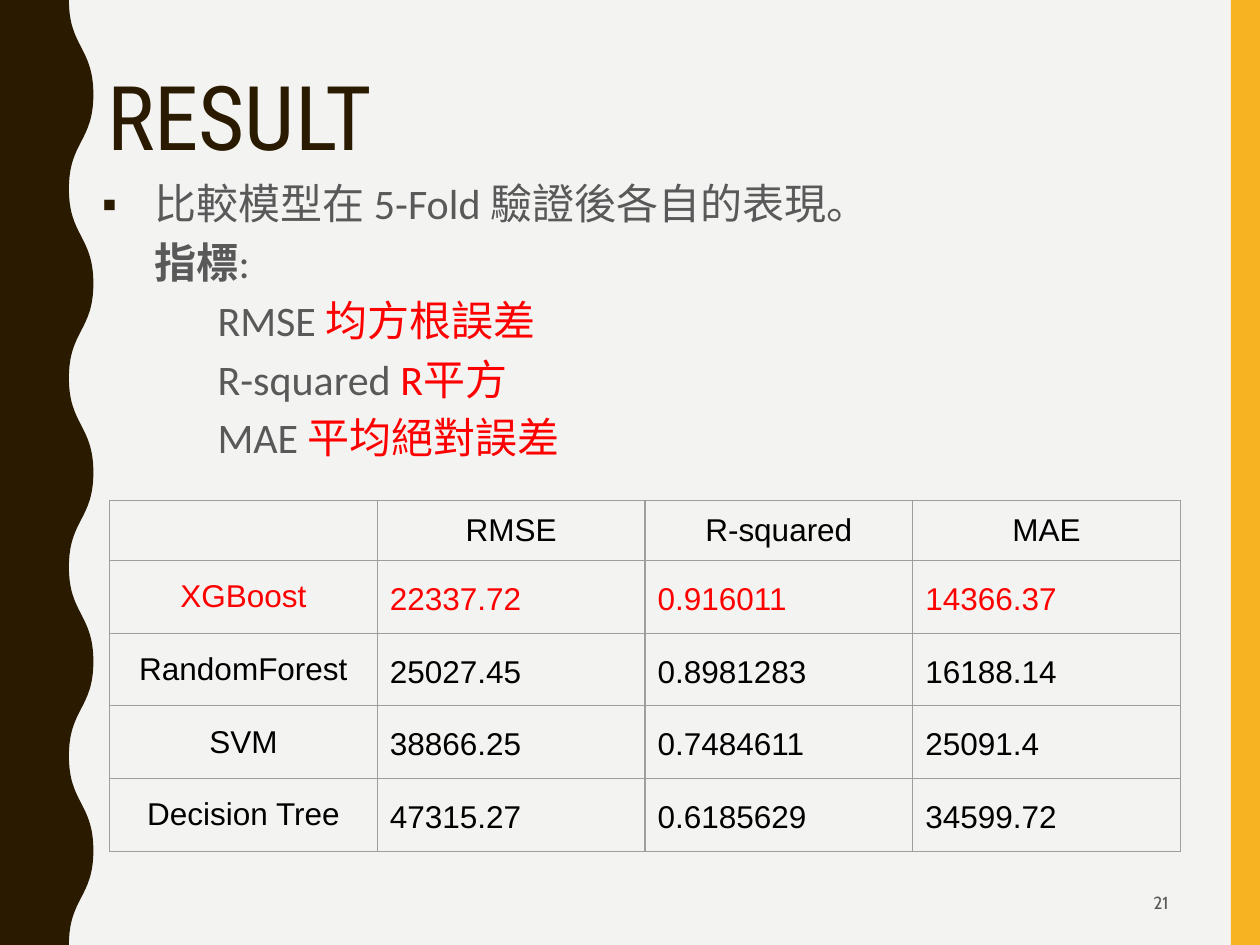
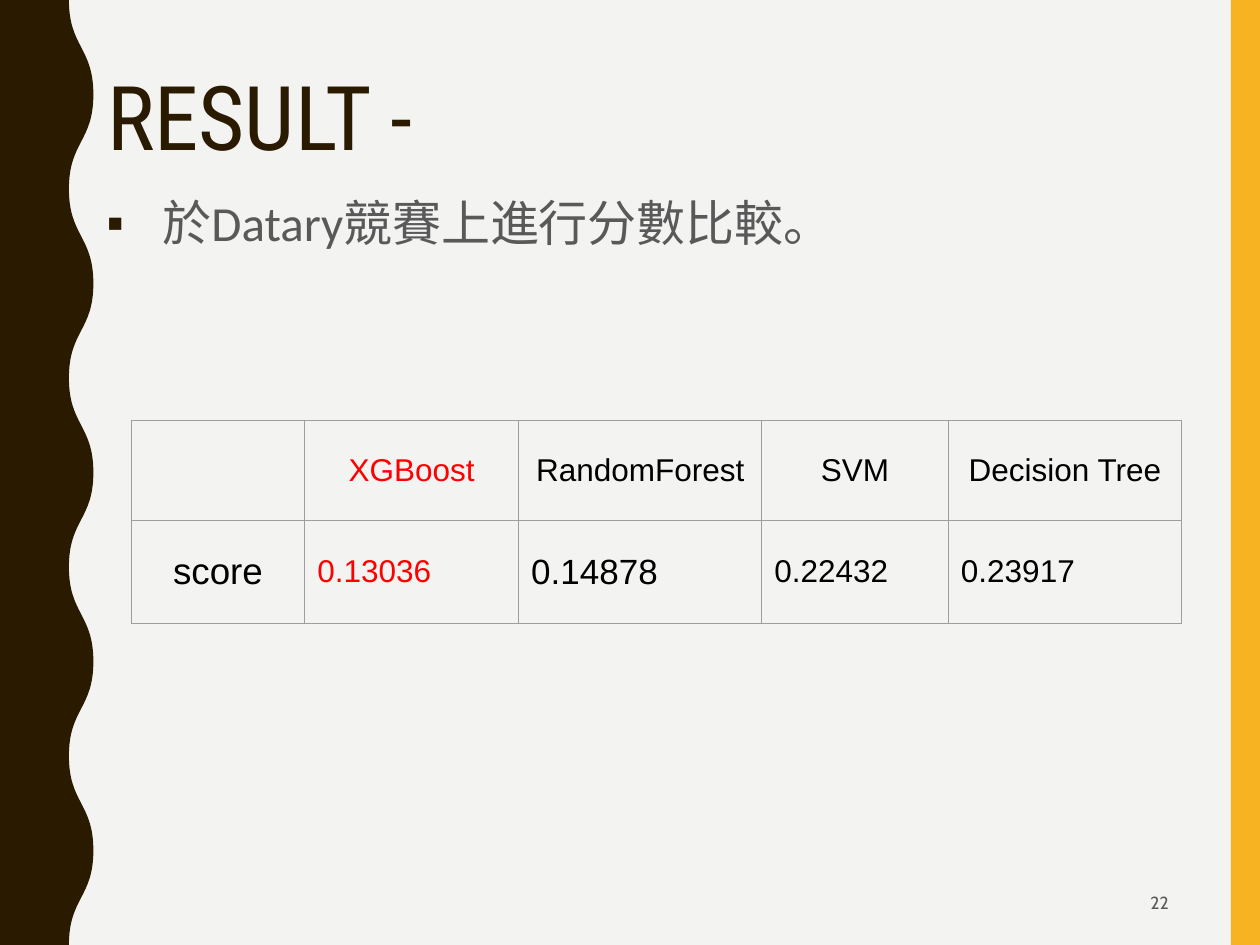
from lxml import etree
from pptx import Presentation
from pptx.dml.color import RGBColor
from pptx.enum.shapes import MSO_SHAPE as Shape
from pptx.enum.text import MSO_ANCHOR as Anchor, MSO_AUTO_SIZE as AutoSize, PP_ALIGN as Align
from pptx.oxml.ns import qn
from pptx.util import Pt

COLOURS = {
    "paper": "F3F3F2", "gold": "F8B323", "brown": "2A1A00", "grey": "595959",
    "red": "FF0000", "black": "000000", "rule": "9E9E9E",
}
PAGE_WIDTH, PAGE_HEIGHT = 720, 540
GOLD_BAND = (703.3, 0, 16.7, PAGE_HEIGHT)
WAVE_BAND = (0, 0, 53.4, PAGE_HEIGHT)
TITLE_BOX = (54, 37.8, 612, 63.4)
NUMBER_BOX = (508.6, 501.8, 166.3, 27.4)

TITLE_FONT = {"name": "Roboto Condensed", "size": 51, "colour": "brown"}
BODY_FONT = {"name": "Calibri", "size": 24, "colour": "grey"}
NUMBER_FONT = {"name": "Cabin", "size": 10, "colour": "grey"}
CELL_FONT = {"name": "Arial", "size": 18, "colour": "black"}
RED = {"colour": "red"}

METRIC_ROWS = [
    ["", "RMSE", "R-squared", "MAE"],
    ["XGBoost", "22337.72", "0.916011", "14366.37"],
    ["RandomForest", "25027.45", "0.8981283", "16188.14"],
    ["SVM", "38866.25", "0.7484611", "25091.4"],
    ["Decision Tree", "47315.27", "0.6185629", "34599.72"],
]
SCORE_ROWS = [
    ["", "XGBoost", "RandomForest", "SVM", "Decision Tree"],
    ["score", "0.13036", "0.14878", "0.22432", "0.23917"],
]


def rgb(colour):
    return RGBColor.from_string(COLOURS[colour])


def set_attributes(target, values):
    for name, value in values.items():
        setattr(target, name, value)


def place(shape, box):
    set_attributes(shape, dict(zip(("left", "top", "width", "height"), map(Pt, box))))


def paint(shape, colour):
    shape.shadow.inherit = False
    shape.fill.solid()
    shape.fill.fore_color.rgb = rgb(colour)
    shape.line.fill.background()


def add_span(para, text, style):
    span = para.add_run()
    span.text = text
    font = {key: value for key, value in style.items() if key != "colour"}
    set_attributes(span.font, {**font, "size": Pt(style["size"])})
    span.font.color.rgb = rgb(style["colour"])


def format_frame(frame, anchor):
    set_attributes(frame, {
        "word_wrap": True, "auto_size": AutoSize.NONE, "vertical_anchor": anchor,
        "margin_left": Pt(7.2), "margin_right": Pt(7.2),
        "margin_top": Pt(3.6), "margin_bottom": Pt(3.6),
    })


def set_indent(para, indent, bulleted):
    properties = para._p.get_or_add_pPr()
    properties.set("marL", str(Pt(36)))
    properties.set("indent", str(Pt(indent)))
    if not bulleted:
        etree.SubElement(properties, qn("a:buNone"))
        return
    bullet_colour = etree.SubElement(properties, qn("a:buClr"))
    etree.SubElement(bullet_colour, qn("a:srgbClr"), val=COLOURS["brown"])
    etree.SubElement(properties, qn("a:buFont"), typeface="Arial")
    etree.SubElement(properties, qn("a:buChar"), char="▪")


def add_gold_band(page, box):
    band = page.shapes.add_shape(Shape.RECTANGLE, *map(Pt, box))
    paint(band, "gold")
    return band


def add_wave_band(page, box, half_waves=10, depth=14):
    """Draw a band whose right edge swings in and out as a chain of S curves."""
    left, top, width, height = box
    rise = height / half_waves
    edge = [(width - depth * (1 - wave % 2), rise * wave)
            for wave in range(half_waves + 1)]
    corners = [*edge, (0, height), (0, 0)]
    points = [(Pt(left + x), Pt(top + y)) for x, y in corners]
    outline = page.shapes.build_freeform(*points[0])
    outline.add_line_segments(points[1:])
    band = outline.convert_to_shape()
    paint(band, "brown")
    segments = list(band.element.iter(qn("a:lnTo")))
    for segment, (x, y), (next_x, next_y) in zip(segments, edge, edge[1:]):
        middle = (y + next_y) / 2
        curve = etree.Element(qn("a:cubicBezTo"))
        for point in ((x, middle), (next_x, middle), (next_x, next_y)):
            across, down = map(Pt, point)
            etree.SubElement(curve, qn("a:pt"), x=str(across), y=str(down))
        segment.getparent().replace(segment, curve)
    return band


def add_title(page, box, text):
    title = page.shapes.title
    place(title, box)
    format_frame(title.text_frame, Anchor.MIDDLE)
    para = title.text_frame.paragraphs[0]
    set_attributes(para, {"alignment": Align.LEFT, "line_spacing": 0.9})
    add_span(para, text, TITLE_FONT)


def add_number(page, box, number):
    frame = page.shapes.add_textbox(*map(Pt, box)).text_frame
    format_frame(frame, Anchor.MIDDLE)
    frame.paragraphs[0].alignment = Align.RIGHT
    add_span(frame.paragraphs[0], str(number), NUMBER_FONT)


def add_body(page, box, lines, line_spacing, size):
    """Fill the body with (indent, spans) lines; a hanging indent carries a bullet."""
    body = page.placeholders[1]
    place(body, box)
    frame = body.text_frame
    format_frame(frame, Anchor.TOP)
    for index, (indent, spans) in enumerate(lines):
        para = frame.add_paragraph() if index else frame.paragraphs[0]
        set_attributes(para, {"alignment": Align.LEFT, "line_spacing": line_spacing,
                              "space_before": Pt(7.5), "space_after": Pt(0)})
        set_indent(para, indent, bulleted=indent < 0)
        for text, change in spans:
            add_span(para, text, {**BODY_FONT, "size": size, **change})


def add_borders(cell):
    properties = cell._tc.get_or_add_tcPr()
    for index, side in enumerate(("lnL", "lnR", "lnT", "lnB")):
        line = etree.Element(qn(f"a:{side}"), w=str(Pt(0.75)))
        fill = etree.SubElement(line, qn("a:solidFill"))
        etree.SubElement(fill, qn("a:srgbClr"), val=COLOURS["rule"])
        properties.insert(index, line)


def add_grid(page, origin, widths, heights, rows, changes, value_spacing=None):
    """Draw a ruled table; changes maps (row, column) to differing font values."""
    size = (sum(widths), sum(heights))
    table = page.shapes.add_table(
        len(heights), len(widths), *map(Pt, (*origin, *size))).table
    set_attributes(table, {"first_row": False, "horz_banding": False})
    for column, width in zip(table.columns, widths):
        column.width = Pt(width)
    for row, height in zip(table.rows, heights):
        row.height = Pt(height)
    for row, texts in enumerate(rows):
        for column, text in enumerate(texts):
            cell = table.cell(row, column)
            cell.fill.background()
            add_borders(cell)
            sides = ("left", "right", "top", "bottom")
            set_attributes(cell, {f"margin_{side}": Pt(7.2) for side in sides})
            cell.vertical_anchor = Anchor.MIDDLE
            para = cell.text_frame.paragraphs[0]
            if row == 0 or column == 0:
                para.alignment = Align.CENTER
            else:
                set_attributes(para, {"alignment": Align.LEFT,
                                      "line_spacing": value_spacing})
            if text:
                add_span(para, text, {**CELL_FONT, **changes.get((row, column), {})})
            else:
                etree.SubElement(para._p, qn("a:endParaRPr"), sz="1400")


def add_page(deck, title, number):
    page = deck.slides.add_slide(deck.slide_layouts[1])
    add_title(page, TITLE_BOX, title)
    add_number(page, NUMBER_BOX, number)
    return page


def add_metrics_page(deck):
    page = add_page(deck, "RESULT", 21)
    metrics = [("RMSE ", "均方根誤差"), ("R-squared ", "R平方"), ("MAE ", "平均絕對誤差")]
    lines = [
        (-30, [("比較模型在 5-Fold 驗證後各自的表現。", {})]),
        (0, [("指標", {"bold": True}), (":", {})]),
        *((36, [(name, {}), (meaning, RED)]) for name, meaning in metrics),
    ]
    add_body(page, (45.1, 101.2, 620.6, 375), lines, line_spacing=0.9, size=24)
    best_row = {(1, column): RED for column in range(4)}
    add_grid(page, (62.6, 285.8), [153] * 4, [31.7] + [41.5] * 4,
             METRIC_ROWS, best_row, value_spacing=1.15)


def add_scores_page(deck):
    page = add_page(deck, "RESULT -", 22)
    lines = [(-32, [("於Datary競賽上進行分數比較。", {})])]
    add_body(page, (49.7, 101.5, 620.6, 375), lines, line_spacing=1.15, size=28)
    changes = {(0, 1): RED, (1, 1): RED, (1, 0): {"size": 21}, (1, 2): {"size": 20}}
    add_grid(page, (75, 240.1), [99.2, 122.2, 139, 106.6, 133.2], [57.4, 58.7],
             SCORE_ROWS, changes)


def dress_master(deck):
    """Give the master its paper and the two bands, which are drawn on a page first."""
    master, page = deck.slide_master, deck.slides[0]
    background = master.background.fill
    background.solid()
    background.fore_color.rgb = rgb("paper")
    for band in (add_gold_band(page, GOLD_BAND), add_wave_band(page, WAVE_BAND)):
        master.shapes.element.append(band.element)


def main():
    deck = Presentation()
    set_attributes(deck, {"slide_width": Pt(PAGE_WIDTH), "slide_height": Pt(PAGE_HEIGHT)})
    add_metrics_page(deck)
    add_scores_page(deck)
    dress_master(deck)
    deck.save("out.pptx")


if __name__ == "__main__":
    main()
